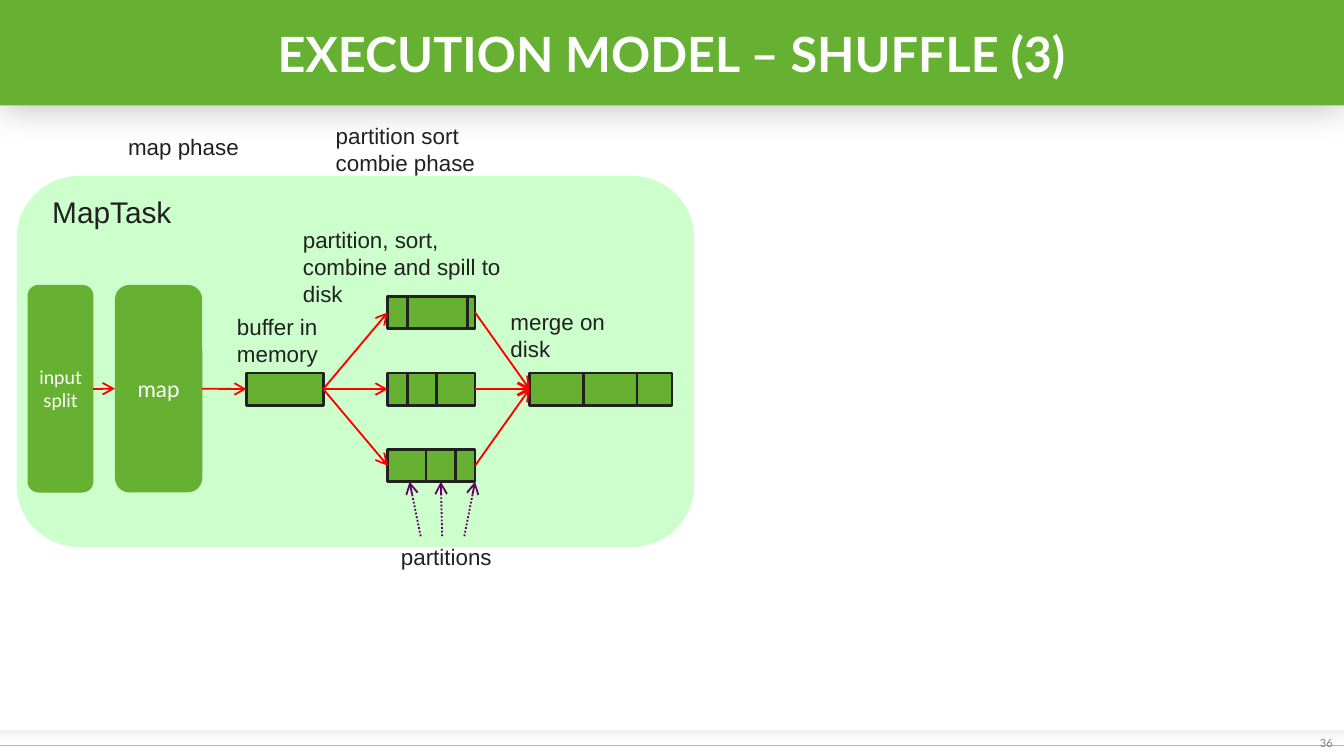
"""Build the MapReduce shuffle slide showing the inside of a map task."""
from dataclasses import dataclass

from lxml.etree import SubElement
from pptx import Presentation
from pptx.dml.color import RGBColor
from pptx.enum.dml import MSO_LINE
from pptx.enum.shapes import MSO_CONNECTOR, MSO_SHAPE as SHP
from pptx.enum.text import MSO_ANCHOR as ANC, MSO_AUTO_SIZE as FIT, PP_ALIGN as AL
from pptx.oxml import parse_xml
from pptx.oxml.ns import nsdecls, qn
from pptx.util import Emu, Pt

PX = 4572
WIDTH, HEIGHT = 2000, 1125
GREEN, MINT, INK, WHITE = "66B132", "CCFFCC", "212121", "FFFFFF"
RED, PURPLE, SILVER, GRAY = "FF0000", "660066", "B3B3B3", "808080"
ROW_H, MID_Y, ROW_GAP = 48, 555, 114


@dataclass(frozen=True)
class Box:
    x: int
    y: int
    w: int
    h: int

    def emu(self) -> list[Emu]:
        return [Emu(v * PX) for v in (self.x, self.y, self.w, self.h)]


@dataclass(frozen=True)
class Label:
    box: Box
    text: str
    size: int = 12


@dataclass(frozen=True)
class Row:
    y: int
    spans: tuple[tuple[int, int], ...]


LABELS = (
    Label(Box(58, 278, 244, 74), "MapTask", 16),
    Label(Box(333, 456, 178, 100), "buffer in memory"),
    Label(Box(431, 327, 342, 142), "partition, sort, combine and spill to disk"),
    Label(Box(577, 799, 194, 60), "partitions"),
    Label(Box(740, 449, 194, 100), "merge on disk"),
    Label(Box(171, 188, 228, 60), "map phase"),
    Label(Box(480, 172, 260, 100), "partition sort combie phase"),
)
BUFFER = Row(MID_Y, ((367, 114),))
MERGED = Row(MID_Y, ((788, 107), (936, 64), (868, 80)))
SPILLS = tuple(
    Row(MID_Y + i * ROW_GAP, ((577, 65), (642, 65), inner))
    for i, inner in ((-1, (606, 90)), (0, (606, 44)), (1, (634, 44)))
)


def rgb(color: str) -> RGBColor:
    """Turn a hex string into a colour."""
    return RGBColor.from_string(color)


def put_text(s, text: str, size: int, font: str, color: str, bold=False, align=AL.LEFT, **frame) -> None:
    """Write one formatted run and apply the frame settings."""
    tf = s.text_frame
    for name, value in {"word_wrap": True, "auto_size": FIT.NONE, **frame}.items():
        setattr(tf, name, value)
    p = tf.paragraphs[0]
    p.alignment = align
    r = p.add_run()
    r.text = text
    for name, value in {"size": Pt(size), "name": font, "bold": bold}.items():
        setattr(r.font, name, value)
    r.font.color.rgb = rgb(color)


def insets(side: int, end: int) -> dict:
    """Give the frame margins with centred anchoring."""
    x, y = Emu(side * PX), Emu(end * PX)
    return {"margin_left": x, "margin_right": x, "margin_top": y,
            "margin_bottom": y, "vertical_anchor": ANC.MIDDLE}


def add_box(shapes, box: Box, kind=SHP.RECTANGLE, fill=GREEN, line=None):
    """Draw a flat filled shape with an optional outline."""
    s = shapes.add_shape(kind, *box.emu())
    s.shadow.inherit = False
    s.fill.solid()
    s.fill.fore_color.rgb = rgb(fill)
    if line:
        s.line.color.rgb = rgb(line)
        s.line.width = Pt(1.5)
    else:
        s.line.fill.background()
    return s


def add_row(shapes, row: Row) -> list:
    """Draw the partition cells of one row."""
    return [add_box(shapes, Box(x, row.y, w, ROW_H), line=INK) for x, w in row.spans]


def add_label(shapes, label: Label) -> None:
    """Draw one wrapped caption."""
    s = shapes.add_textbox(*label.box.emu())
    put_text(s, label.text, label.size, "Arial", INK, auto_size=FIT.SHAPE_TO_FIT_TEXT)


def add_line(shapes, ends=(0, 0, 0, 0), color=RED, width=1.0, arrow=True, dash=None):
    """Draw a straight line, normally with an open arrowhead."""
    s = shapes.add_connector(MSO_CONNECTOR.STRAIGHT, *(Emu(v * PX) for v in ends))
    s.line.color.rgb = rgb(color)
    s.line.width = Pt(width)
    if dash:
        s.line.dash_style = dash
    if arrow:
        SubElement(s.line._get_or_add_ln(), qn("a:tailEnd"), type="arrow")
    SubElement(s._element.spPr, qn("a:effectLst"))
    return s


def join(shapes, start, end) -> None:
    """Link the right side of one shape to the left side of another."""
    s = add_line(shapes)
    s.begin_connect(start, 3)
    s.end_connect(end, 1)


def add_title(shapes, text: str) -> None:
    """Format the title placeholder as a shadowed banner."""
    s = shapes.title
    s.left, s.top, s.width, s.height = Box(0, 0, WIDTH, 157).emu()
    s.fill.solid()
    s.fill.fore_color.rgb = rgb(GREEN)
    s.shadow.inherit = False
    s._element.spPr.find(qn("a:effectLst")).append(parse_xml(
        f'<a:outerShdw {nsdecls("a")} blurRad="{Pt(20)}" dist="0" dir="0" rotWithShape="0">'
        '<a:srgbClr val="000000"><a:alpha val="28000"/></a:srgbClr></a:outerShdw>'))
    put_text(s, text, 26, "Lato", WHITE, True, AL.CENTER, **insets(0, 0))


def add_footer(shapes, number: str) -> None:
    """Draw the fading footer band, its rule and the page number."""
    s = add_box(shapes, Box(0, 1087, WIDTH, 38))
    stops = "".join(
        f'<a:gs pos="{pos}"><a:srgbClr val="{color}"><a:alpha val="{alpha}"/></a:srgbClr></a:gs>'
        for pos, color, alpha in ((0, SILVER, 20000), (67000, WHITE, 0)))
    old = s._element.spPr.find(qn("a:solidFill"))
    s._element.spPr.replace(old, parse_xml(
        f'<a:gradFill {nsdecls("a")}><a:gsLst>{stops}</a:gsLst><a:lin ang="5400000" scaled="0"/></a:gradFill>'))
    add_line(shapes, (0, 1109, WIDTH, 1109), SILVER, 0.5, arrow=False)
    s = shapes.add_textbox(*Box(1950, 1087, 48, 38).emu())
    put_text(s, number, 6, "Lato", GRAY, align=AL.CENTER, **insets(0, 0))


def add_stage(shapes, box: Box, text: str, size: int):
    """Draw a rounded processing stage."""
    s = add_box(shapes, box, SHP.ROUNDED_RECTANGLE)
    put_text(s, text, size, "Lato", WHITE, align=AL.CENTER, **insets(0, 10))
    return s


def main() -> None:
    """Build and save the slide."""
    prs = Presentation()
    prs.slide_width, prs.slide_height = Emu(WIDTH * PX), Emu(HEIGHT * PX)
    shapes = prs.slides.add_slide(prs.slide_layouts[5]).shapes
    add_footer(shapes, "36")
    add_box(shapes, Box(25, 262, 1008, 552), SHP.ROUNDED_RECTANGLE, MINT)
    add_title(shapes, "EXECUTION MODEL – SHUFFLE (3)")

    split = add_stage(shapes, Box(41, 424, 98, 309), "input split", 10)
    mapper = add_stage(shapes, Box(171, 424, 130, 309), "map", 12)
    buffer = add_row(shapes, BUFFER)[0]
    merged = add_row(shapes, MERGED)[0]
    join(shapes, split, mapper)
    join(shapes, mapper, buffer)
    for row in SPILLS:
        first, last, inner = add_row(shapes, row)
        join(shapes, buffer, first)
        join(shapes, last, merged)

    for start, tip, cell in ((626, 610, first), (658, 656, inner), (691, 707, None)):
        s = add_line(shapes, (start, 798, tip, 717), PURPLE, dash=MSO_LINE.ROUND_DOT)
        if cell:
            s.end_connect(cell, 2)
    for label in LABELS:
        add_label(shapes, label)
    prs.save("out.pptx")


if __name__ == "__main__":
    main()
